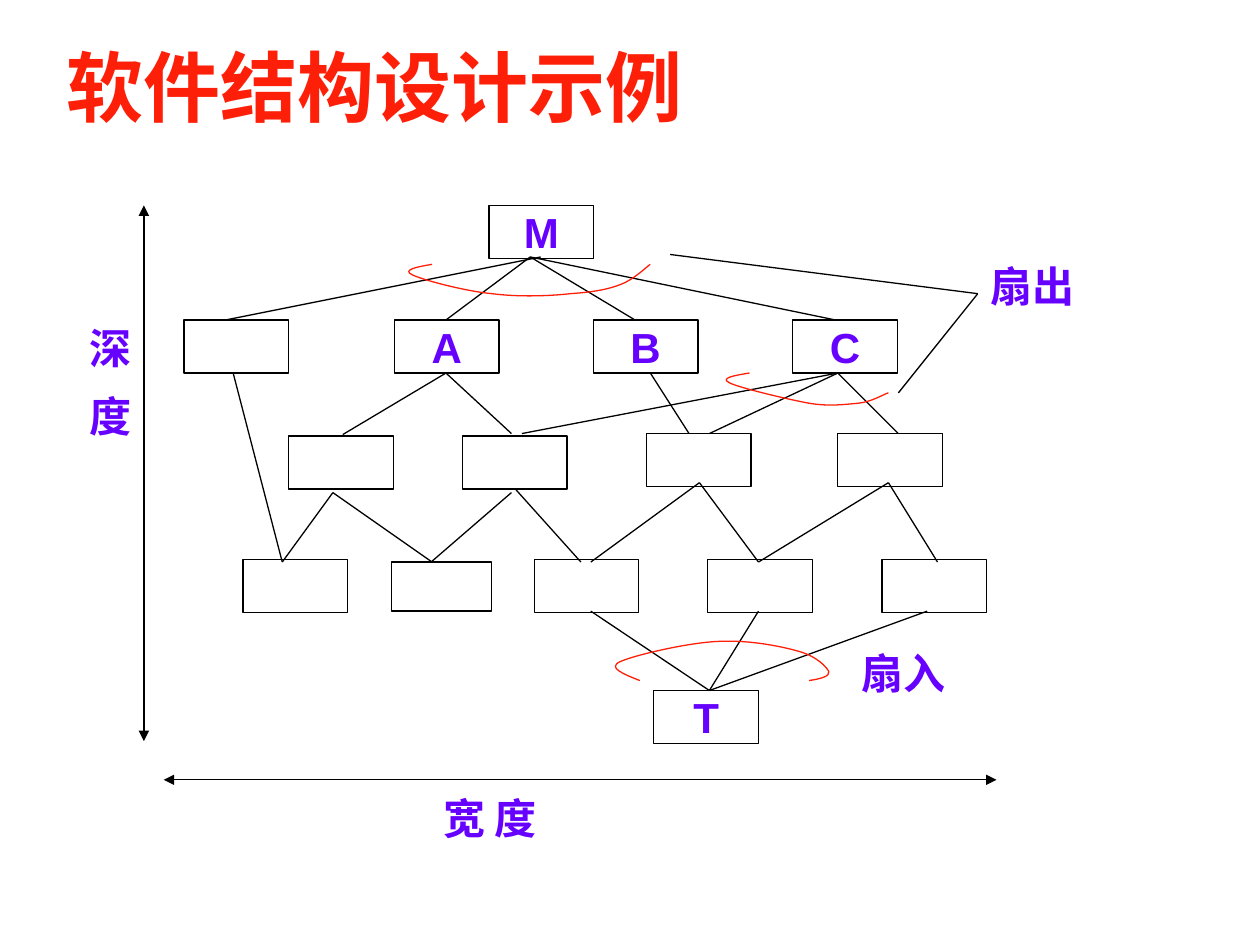
from lxml.etree import SubElement
from pptx import Presentation
from pptx.dml.color import RGBColor
from pptx.enum.shapes import MSO_CONNECTOR, MSO_SHAPE
from pptx.enum.text import MSO_ANCHOR, MSO_AUTO_SIZE, PP_ALIGN
from pptx.oxml.ns import qn
from pptx.util import Cm, Pt

THEME = {
    "title": RGBColor(0xFE, 0x1F, 0x08),
    "label": RGBColor(0x66, 0x00, 0xFF),
    "line": RGBColor(0, 0, 0),
    "arc": RGBColor(0xFE, 0x1F, 0x08),
    "title_size": 44,
    "label_size": 24,
    "title_font": "Montserrat",
    "label_font": "Arial",
    "weight": 0.75,
}

TITLE = "软件结构设计示例"
MODULE_SIZE = (2.11, 1.07)
SMALL_MODULE_SIZE = (2.01, 0.99)
LEVELS = [
    (4.14, MODULE_SIZE, [(9.86, "M")]),
    (6.45, MODULE_SIZE, [(3.71, ""), (7.95, "A"), (11.96, "B"), (15.98, "C")]),
    (8.79, MODULE_SIZE, [(5.82, ""), (9.32, "")]),
    (8.74, MODULE_SIZE, [(13.03, ""), (16.89, "")]),
    (11.28, MODULE_SIZE, [(4.9, ""), (10.77, ""), (14.27, ""), (17.78, "")]),
    (11.33, SMALL_MODULE_SIZE, [(7.9, "")]),
    (13.92, MODULE_SIZE, [(13.18, "T")]),
]
FANS = [
    ((10.9, 5.18), [(4.55, 6.45)]),
    ((10.69, 5.18), [(8.99, 6.45), (12.8, 6.45), (16.84, 6.45)]),
    ((4.7, 7.52), [(5.69, 11.33)]),
    ((8.99, 7.52), [(6.91, 8.76), (10.31, 8.74)]),
    ((13.11, 7.52), [(13.89, 8.74)]),
    ((16.89, 7.52), [(10.52, 8.74), (14.3, 8.74), (18.11, 8.74)]),
    ((6.71, 9.93), [(5.69, 11.33), (8.71, 11.33)]),
    ((10.31, 9.93), [(8.69, 11.33)]),
    ((10.39, 9.86), [(11.71, 11.33)]),
    ((14.1, 9.73), [(11.91, 11.33), (15.29, 11.33)]),
    ((17.91, 9.73), [(15.29, 11.33), (18.9, 11.33)]),
    ((14.3, 13.92), [(11.91, 12.32), (15.29, 12.32), (18.69, 12.32)]),
    ((19.71, 5.92), [(13.51, 5.13), (18.11, 7.92)]),
]
AXES = [((2.9, 4.14), (2.9, 14.94)), ((3.3, 15.72), (20.09, 15.72))]
ARCS = [
    [(8.71, 5.33), (8.41, 5.38), (8.1, 5.44), (8.31, 5.54),
     (8.51, 5.64), (9.37, 5.87), (9.91, 5.92),
     (10.44, 5.99), (11.07, 5.97), (11.51, 5.92),
     (11.94, 5.89), (12.24, 5.84), (12.5, 5.74),
     (12.78, 5.64), (13.03, 5.38), (13.11, 5.33)],
    [(15.11, 7.52), (14.81, 7.57), (14.5, 7.62), (14.71, 7.72),
     (14.91, 7.82), (15.88, 8.05), (16.31, 8.13),
     (16.74, 8.2), (17.04, 8.15), (17.3, 8.13),
     (17.58, 8.1), (17.81, 7.95), (17.91, 7.92)],
    [(12.9, 13.72), (12.57, 13.59), (12.24, 13.46), (12.5, 13.34),
     (12.78, 13.21), (13.89, 12.95), (14.5, 12.93),
     (15.11, 12.9), (15.75, 13.03), (16.1, 13.13),
     (16.46, 13.23), (16.66, 13.44), (16.71, 13.54),
     (16.74, 13.64), (16.51, 13.69), (16.31, 13.72)],
]
LABELS = [
    ("深 度", (1.32, 6.35, 1.52, 2.54), True),
    ("宽 度", (8.69, 15.85, 2.39, 1.27), False),
    ("扇入", (17.12, 12.93, 2.18, 1.27), False),
    ("扇出", (19.71, 5.13, 2.18, 1.27), False),
]


def write(shape, text, kind="label", align=PP_ALIGN.LEFT, anchor=MSO_ANCHOR.TOP,
          wrap=False, vertical=False):
    frame = shape.text_frame
    frame.word_wrap = wrap
    frame.auto_size = MSO_AUTO_SIZE.NONE
    frame.vertical_anchor = anchor
    side, end = (0.13, 0.25) if vertical else (0.25, 0.13)
    frame.margin_left = frame.margin_right = Cm(side)
    frame.margin_top = frame.margin_bottom = Cm(end)
    paragraph = frame.paragraphs[0]
    paragraph.alignment = align
    run = paragraph.add_run()
    run.text = text
    run.font.name = THEME[f"{kind}_font"]
    run.font.size = Pt(THEME[f"{kind}_size"])
    run.font.bold = True
    run.font.color.rgb = THEME[kind]
    if vertical:
        frame._txBody.bodyPr.set("vert", "eaVert")
        run.font._element.set("spc", "470")


def outline(shape, color):
    shape.line.color.rgb = THEME[color]
    shape.line.width = Pt(THEME["weight"])


def add_module(shapes, left, top, size, name):
    module = shapes.add_shape(MSO_SHAPE.RECTANGLE, *map(Cm, (left, top, *size)))
    module.shadow.inherit = False
    module.fill.background()
    outline(module, "line")
    if name:
        write(module, name, align=PP_ALIGN.CENTER, anchor=MSO_ANCHOR.MIDDLE)


def add_link(shapes, start, end, arrows=False):
    link = shapes.add_connector(MSO_CONNECTOR.STRAIGHT, *map(Cm, (*start, *end)))
    outline(link, "line")
    if arrows:
        for tip in ("a:headEnd", "a:tailEnd"):
            SubElement(link.line._get_or_add_ln(), qn(tip), type="triangle")
    SubElement(link._element.spPr, qn("a:effectLst"))


def add_arc(shapes, points):
    start, *rest = [(Cm(x), Cm(y)) for x, y in points]
    builder = shapes.build_freeform(*start)
    builder.add_line_segments(rest, close=False)
    arc = builder.convert_to_shape()
    arc.shadow.inherit = False
    arc.fill.background()
    outline(arc, "arc")
    arc_outline = arc._element.xpath(".//a:path")[0]
    for index, segment in enumerate(arc_outline.findall(qn("a:lnTo"))):
        if index % 3 == 0:
            curve = SubElement(arc_outline, qn("a:cubicBezTo"))
        curve.append(segment[0])
        arc_outline.remove(segment)


def main():
    deck = Presentation()
    deck.slide_width, deck.slide_height = Cm(25.4), Cm(19.05)
    slide = deck.slides.add_slide(deck.slide_layouts[5])
    shapes = slide.shapes
    title = shapes.title
    title.left, title.top, title.width, title.height = map(Cm, (1.09, 0.33, 23.01, 2.79))
    write(title, TITLE, kind="title", anchor=MSO_ANCHOR.MIDDLE, wrap=True)

    for top, size, modules in LEVELS:
        for left, name in modules:
            add_module(shapes, left, top, size, name)
    for hub, ends in FANS:
        for end in ends:
            add_link(shapes, hub, end)
    for start, end in AXES:
        add_link(shapes, start, end, arrows=True)
    for points in ARCS:
        add_arc(shapes, points)
    for text, place, vertical in LABELS:
        write(shapes.add_textbox(*map(Cm, place)), text, vertical=vertical)

    deck.save("out.pptx")


if __name__ == "__main__":
    main()
